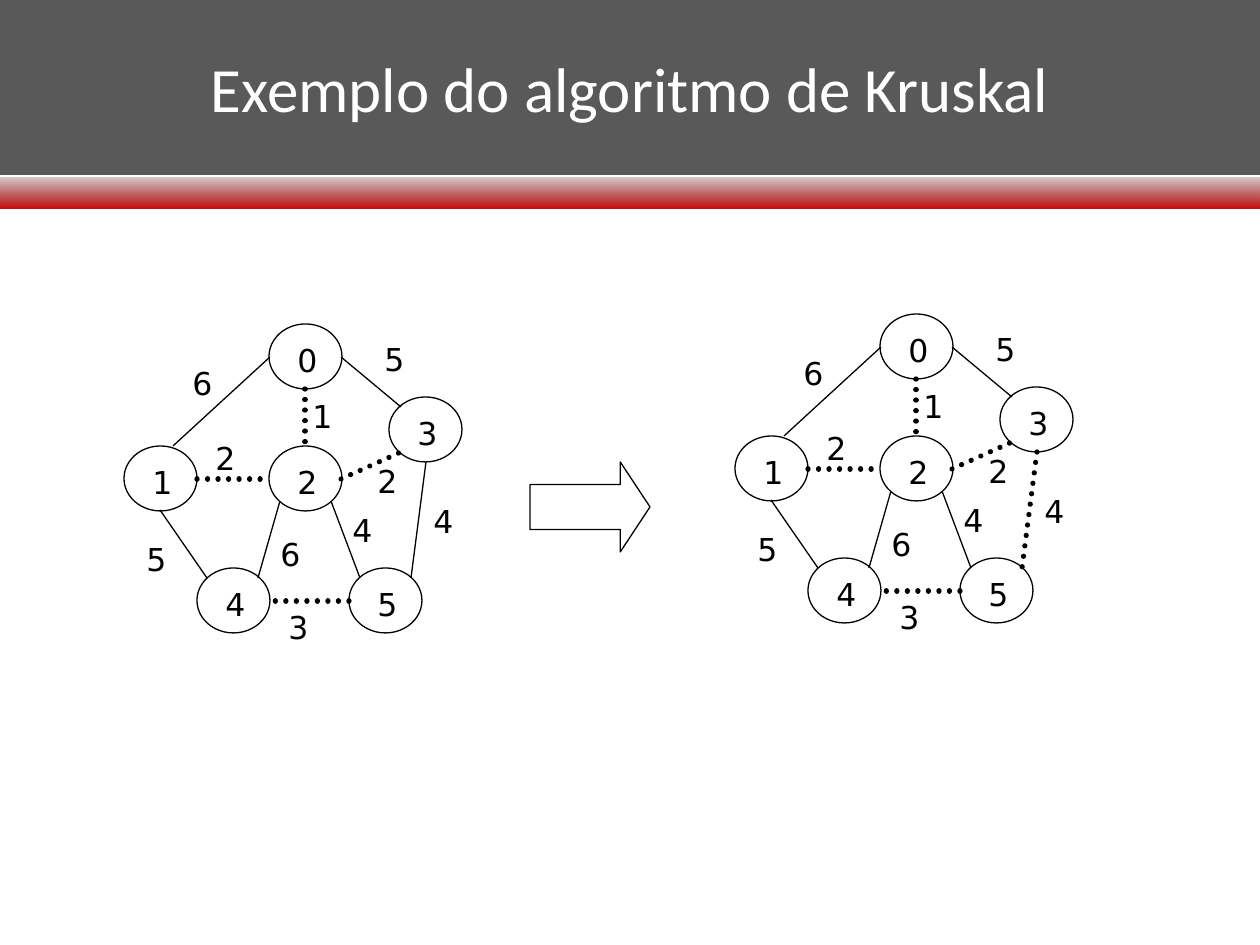
from dataclasses import dataclass

from lxml import etree
from pptx import Presentation
from pptx import util as u
from pptx.dml import color
from pptx.enum import dml, shapes, text
from pptx.oxml import ns

PX_PER_INCH = 126
COLORS = {
    "ink": "000000",
    "header": "595959",
    "title": "FFFFFF",
    "band_start": "5E0000",
    "band_end": "CC0000",
}
NODE_SIZE = (73, 65)
LABEL_SIZE = (43, 50)
LABEL_INSET = (16, 11)


@dataclass(frozen=True)
class Node:
    name: str
    left: int
    top: int


@dataclass(frozen=True)
class Edge:
    ends: str
    start: tuple[int, int]
    end: tuple[int, int]
    weight: str
    label: tuple[int, int]


@dataclass(frozen=True)
class Graph:
    left: int
    top: int
    chosen: frozenset[str]


NODES = [
    Node("0", 269, 324),
    Node("3", 389, 397),
    Node("2", 269, 446),
    Node("5", 349, 568),
    Node("1", 124, 446),
    Node("4", 197, 568),
]
EDGES = [
    Edge("03", (341, 357), (401, 407), "5", (372, 334)),
    Edge("35", (426, 462), (411, 578), "4", (421, 496)),
    Edge("45", (349, 601), (269, 601), "3", (276, 602)),
    Edge("14", (207, 578), (160, 510), "5", (134, 534)),
    Edge("01", (173, 446), (270, 357), "6", (180, 358)),
    Edge("24", (258, 578), (280, 501), "6", (268, 529)),
    Edge("25", (360, 578), (331, 501), "4", (340, 505)),
    Edge("12", (197, 479), (270, 479), "2", (203, 433)),
    Edge("23", (341, 479), (401, 452), "2", (365, 456)),
    Edge("02", (305, 389), (305, 446), "1", (300, 391)),
]
BEFORE = frozenset({"02", "12", "23", "45"})
GRAPHS = [Graph(0, 0, BEFORE), Graph(611, -10, BEFORE | {"35"})]


def px(length: int) -> u.Emu:
    return u.Emu(round(length * 914400 / PX_PER_INCH))


def rgb(name: str) -> color.RGBColor:
    return color.RGBColor.from_string(COLORS[name])


def write(frame, words: str, *, font: str, size: int, ink: str, align) -> None:
    para = frame.paragraphs[0]
    para.alignment = align
    span = para.add_run()
    span.text = words
    span.font.name = font
    span.font.size = u.Pt(size)
    span.font.color.rgb = rgb(ink)


def add_outline(parent, kind, left: int, top: int, width: int, height: int):
    shape = parent.add_shape(kind, px(left), px(top), px(width), px(height))
    shape.shadow.inherit = False
    shape.fill.background()
    shape.line.color.rgb = rgb("ink")
    shape.line.width = u.Pt(0.75)
    return shape


def add_label(parent, words: str, left: int, top: int) -> None:
    width, height = LABEL_SIZE
    box = parent.add_textbox(px(left), px(top), px(width), px(height))
    box.text_frame.word_wrap = False
    box.text_frame.auto_size = text.MSO_AUTO_SIZE.SHAPE_TO_FIT_TEXT
    write(box.text_frame, words, font="DejaVu Sans", size=18, ink="ink",
          align=text.PP_ALIGN.LEFT)


def add_node(page, node: Node, graph: Graph) -> None:
    group = page.shapes.add_group_shape().shapes
    left, top = node.left + graph.left, node.top + graph.top
    add_outline(group, shapes.MSO_SHAPE.OVAL, left, top, *NODE_SIZE)
    add_label(group, node.name, left + LABEL_INSET[0], top + LABEL_INSET[1])


def add_edge(page, edge: Edge, graph: Graph) -> None:
    points = [px(x + y) for point in (edge.start, edge.end)
              for x, y in zip(point, (graph.left, graph.top))]
    line = page.shapes.add_connector(shapes.MSO_CONNECTOR.STRAIGHT, *points)
    line.line.color.rgb = rgb("ink")
    line.line.width = u.Pt(0.75)
    if edge.ends in graph.chosen:
        line.line.width = u.Pt(3)
        line.line.dash_style = dml.MSO_LINE.ROUND_DOT
        line.line._get_or_add_ln().set("cap", "rnd")
    etree.SubElement(line._element.spPr, ns.qn("a:effectLst"))


def add_graph(page, graph: Graph) -> None:
    for node in NODES:
        add_node(page, node, graph)
    for edge in EDGES:
        add_edge(page, edge, graph)
        add_label(page.shapes, edge.weight,
                  edge.label[0] + graph.left, edge.label[1] + graph.top)


def add_band(page) -> None:
    band = page.shapes.add_shape(shapes.MSO_SHAPE.RECTANGLE,
                                 px(0), px(178), px(1260), px(31))
    band.shadow.inherit = False
    band.line.fill.background()
    band.fill.gradient()
    band.fill.gradient_angle = 270
    for stop, name, place in zip(band.fill.gradient_stops,
                                 ("band_start", "band_end"), (0, 1)):
        stop.color.rgb = rgb(name)
        stop.position = place
    first = next(band._element.spPr.iter(ns.qn("a:srgbClr")))
    etree.SubElement(first, ns.qn("a:alpha"), val="21000")


def format_title(page) -> None:
    title = page.shapes.title
    title.left, title.top = px(0), px(0)
    title.width, title.height = px(1260), px(175)
    title.fill.solid()
    title.fill.fore_color.rgb = rgb("header")
    title.text_frame.vertical_anchor = text.MSO_ANCHOR.MIDDLE
    write(title.text_frame, "Exemplo do algoritmo de Kruskal", font="Calibri",
          size=36, ink="title", align=text.PP_ALIGN.CENTER)


def main() -> None:
    deck = Presentation()
    deck.slide_width, deck.slide_height = px(1260), px(945)
    page = deck.slides.add_slide(deck.slide_layouts[5])
    add_band(page)
    format_title(page)
    for graph in GRAPHS:
        add_graph(page, graph)
    arrow = add_outline(page.shapes, shapes.MSO_SHAPE.RIGHT_ARROW, 530, 462, 120, 90)
    arrow.adjustments[0] = 0.5
    arrow.adjustments[1] = 0.33
    deck.save("out.pptx")


if __name__ == "__main__":
    main()
